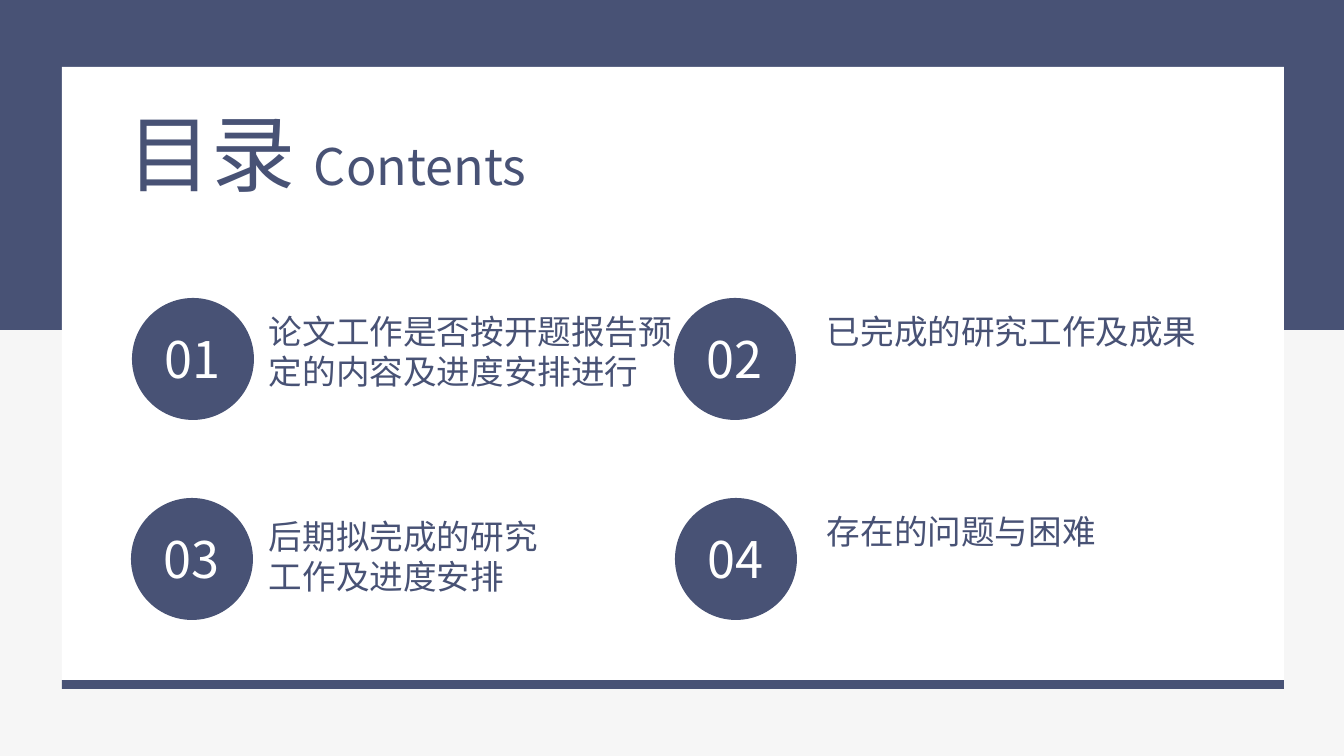
from lxml.etree import SubElement
from pptx import Presentation
from pptx.dml.color import RGBColor
from pptx.enum.shapes import MSO_SHAPE
from pptx.enum.text import MSO_ANCHOR, MSO_AUTO_SIZE, PP_ALIGN
from pptx.oxml.ns import qn
from pptx.util import Pt

SCALE = 914400 / 100.8
FONT = "Noto Sans CJK SC"
NAVY, WHITE, PALE = "485275", "FFFFFF", "F6F6F6"
SLIDE_SIZE = (1344, 756)
PANELS = [
    ((0, -3, 1346, 333), NAVY),
    ((62, 67, 1222, 615), WHITE),
    ((62, 680, 1222, 9), NAVY),
]
TITLE = [("目录 ", 60), ("Contents", 36)]
TITLE_AREA = (117, 96, 454, 112)
CIRCLE = 122
NUMBER_SIZE = (80, 72)
ENTRIES = [
    ("01", (132, 298), ["论文工作是否按开题报告预", "定的内容及进度安排进行"], (259, 306, 467, 107)),
    ("02", (674, 298), ["已完成的研究工作及成果"], (817, 306, 390, 50)),
    ("03", (131, 498), ["后期拟完成的研究", "工作及进度安排"], (259, 511, 289, 92)),
    ("04", (675, 498), ["存在的问题与困难"], (817, 506, 289, 50)),
]


def px(length):
    """Turn px into EMU."""
    return round(length * SCALE)


def color(value):
    """Turn a hex string into a colour."""
    return RGBColor.from_string(value)


def assign(target, values):
    """Set every attribute in a dict of format values."""
    for name, value in values.items():
        setattr(target, name, value)


def add_panel(page, kind, area, fill):
    """Add a plain filled shape."""
    panel = page.shapes.add_shape(kind, *map(px, area))
    panel.shadow.inherit = False
    panel.fill.solid()
    panel.fill.fore_color.rgb = color(fill)
    panel.line.fill.background()


def write(box, paragraphs, fill, align=PP_ALIGN.LEFT, wrap=False):
    """Write paragraphs of (text, size) spans into a box."""
    frame = box.text_frame
    assign(frame, {"word_wrap": wrap, "auto_size": MSO_AUTO_SIZE.NONE,
                   "vertical_anchor": MSO_ANCHOR.TOP})
    for index, spans in enumerate(paragraphs):
        para = frame.add_paragraph() if index else frame.paragraphs[0]
        assign(para, {"alignment": align})
        for text, size in spans:
            span = para.add_run()
            span.text = text
            assign(span.font, {"name": FONT, "size": Pt(size)})
            span.font.color.rgb = color(fill)
            SubElement(span.font._element, qn("a:ea"), typeface=FONT)


def add_entry(page, number, corner, lines, area):
    """Add a numbered circle and its label."""
    left, top = corner
    width, height = NUMBER_SIZE
    add_panel(page, MSO_SHAPE.OVAL, (left, top, CIRCLE, CIRCLE), NAVY)
    number_area = (left + (CIRCLE - width) / 2, top + (CIRCLE - height) / 2, width, height)
    number_box = page.shapes.add_textbox(*map(px, number_area))
    write(number_box, [[(number, 36)]], WHITE, PP_ALIGN.CENTER)
    label = page.shapes.add_textbox(*map(px, area))
    write(label, [[(line, 24)] for line in lines], NAVY)


def main():
    """Build the contents slide."""
    deck = Presentation()
    deck.slide_width, deck.slide_height = map(px, SLIDE_SIZE)
    page = deck.slides.add_slide(deck.slide_layouts[5])
    page.background.fill.solid()
    page.background.fill.fore_color.rgb = color(PALE)
    for area, fill in PANELS:
        add_panel(page, MSO_SHAPE.RECTANGLE, area, fill)
    for entry in ENTRIES:
        add_entry(page, *entry)
    title = page.shapes.title
    assign(title, dict(zip(("left", "top", "width", "height"), map(px, TITLE_AREA))))
    write(title, [TITLE], NAVY, wrap=True)
    page.shapes._spTree.append(title._element)
    deck.save("out.pptx")


if __name__ == "__main__":
    main()
